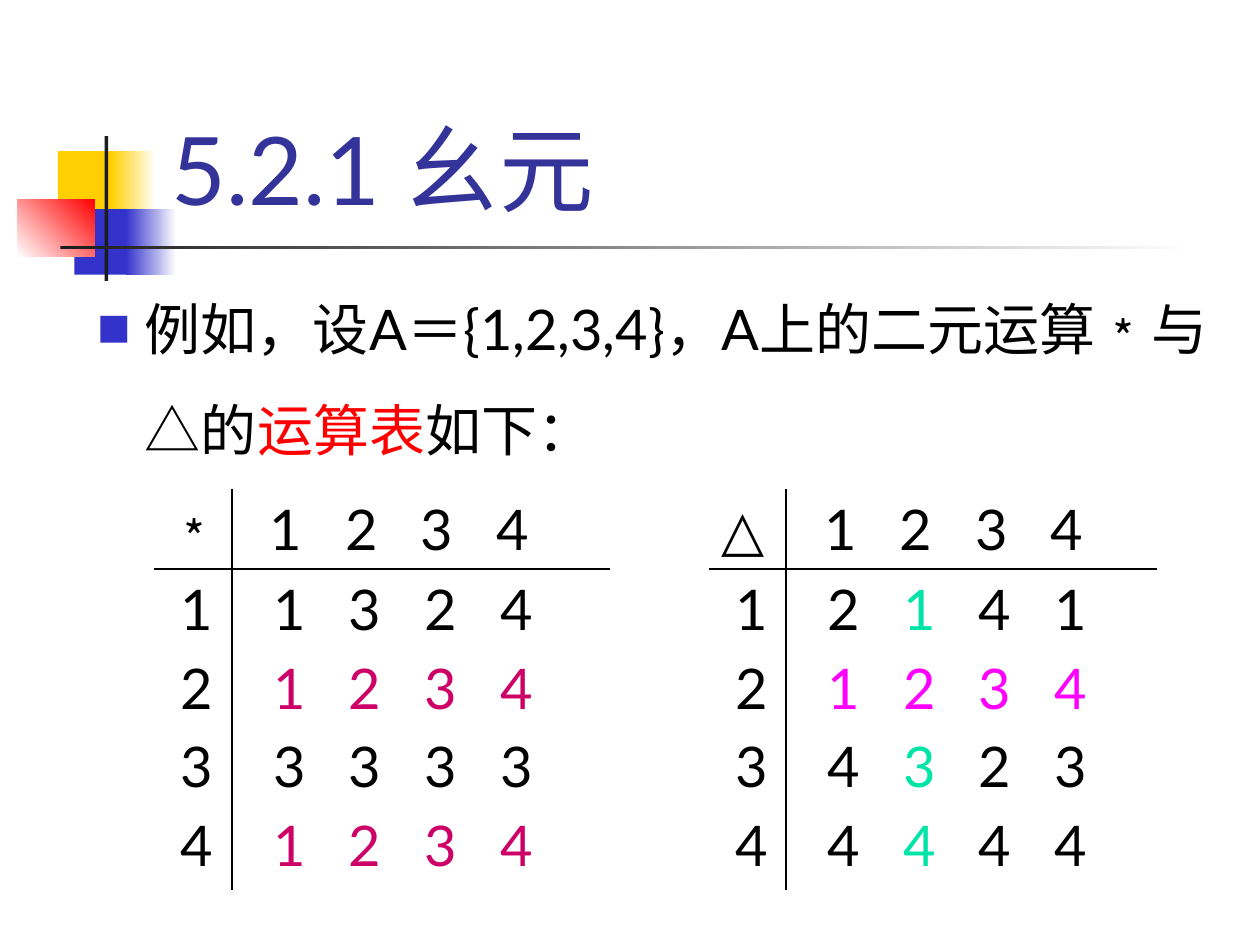
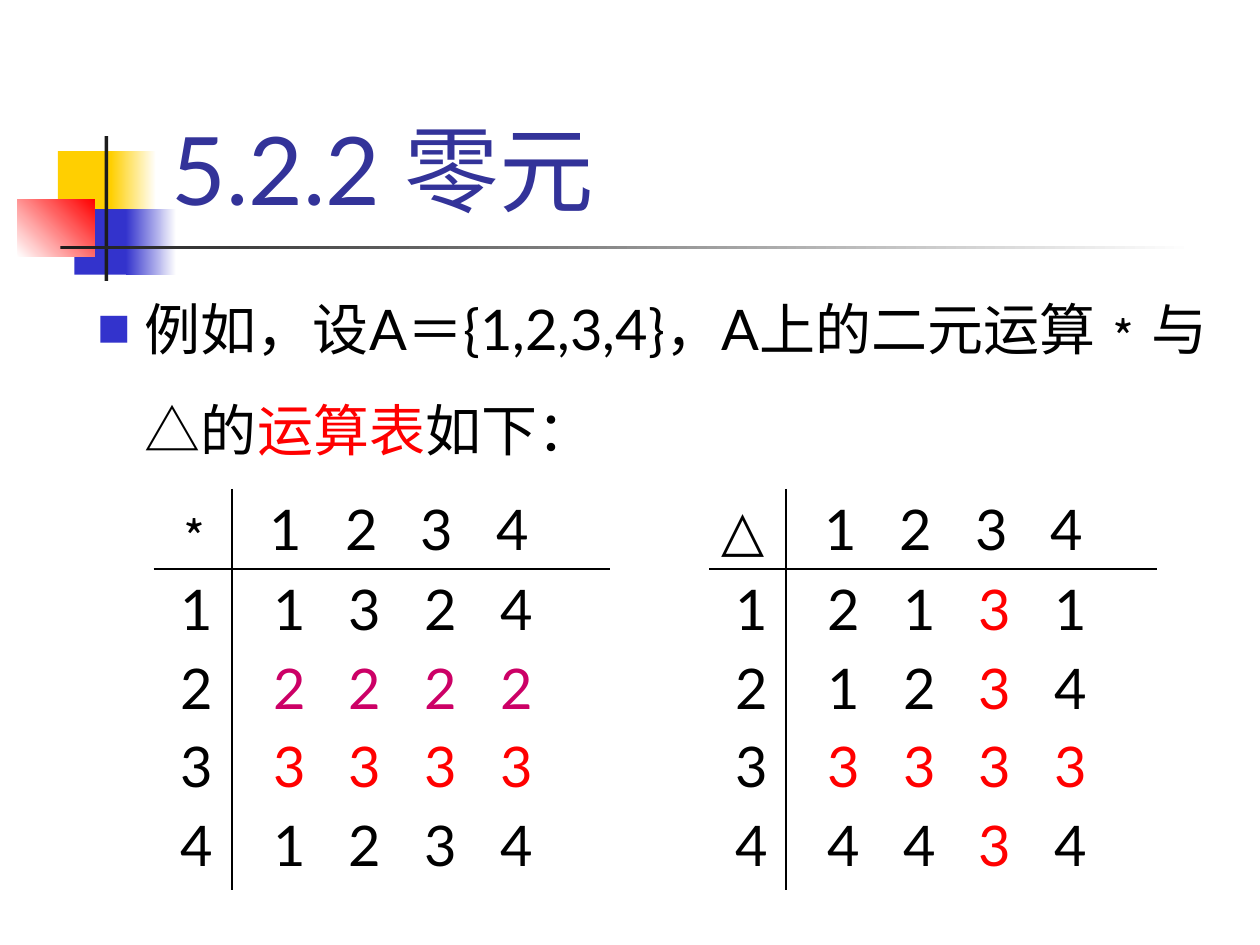
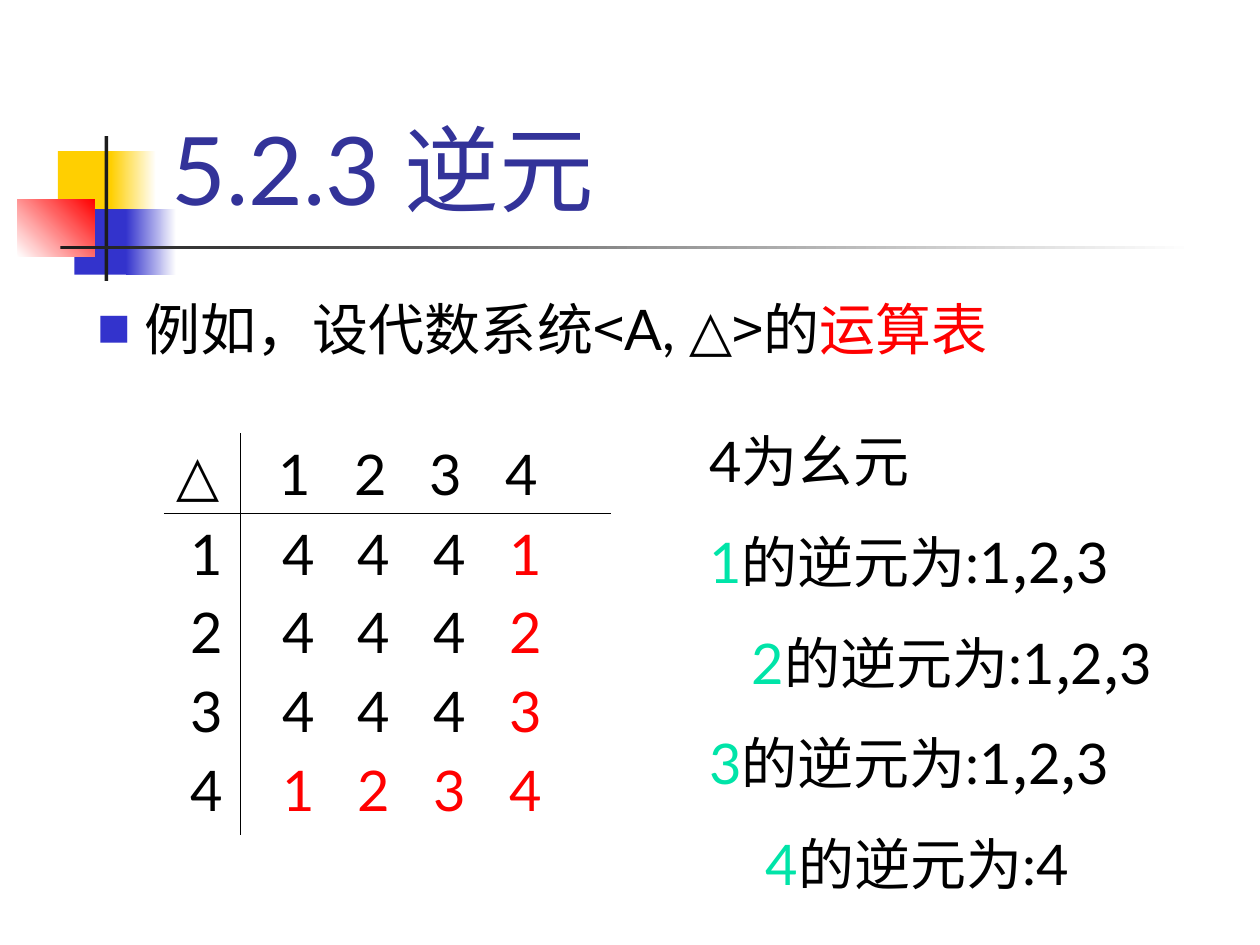
"""Build three slides on identity, zero and inverse elements."""
from itertools import groupby

from lxml.etree import SubElement
from pptx import Presentation
from pptx.dml.color import RGBColor
from pptx.enum.shapes import MSO_SHAPE
from pptx.enum.text import MSO_ANCHOR, MSO_AUTO_SIZE, PP_ALIGN
from pptx.oxml.ns import qn
from pptx.util import Inches, Pt

COLORS = {
    "black": "000000", "white": "FFFFFF", "ink": "1C1C1C", "title": "333399",
    "blue": "3333CC", "yellow": "FFCF01", "red": "FF0000", "berry": "CC0066",
    "mint": "00E4A8", "pink": "FF00FF",
}
MARKS = {".": "black", "r": "red", "b": "berry", "m": "mint", "p": "pink"}
FONT, CJK_FONT = "Lato", "Noto Sans CJK SC"
PLAIN_TABLE = "{2D5ABB26-0587-4C30-8999-92F81FD0307C}"
COLUMN_STEP = 0.6

ORNAMENTS = [
    ((0.46, 1.2, 0.48, 0.52), ["yellow"], 0),
    ((0.88, 1.2, 0.36, 0.52), ["yellow", "white"], 0),
    ((0.59, 1.66, 0.46, 0.52), ["blue"], 0),
    ((1, 1.66, 0.4, 0.52), ["blue", "white"], 0),
    ((0.14, 1.58, 0.61, 0.46), ["white", "red"], 45),
    ((0.83, 1.08, 0.03, 1.15), ["ink"], 0),
    ((0.48, 1.95, 9, 0.03), ["ink", "white"], 0),
]
EXAMPLE = [("例如，设A＝{1,2,3,4}，A上的二元运算﹡与△的",), ("运算表", "red"), ("如下：",)]
SYSTEM = [("例如，设代数系统",), ("<", "black", CJK_FONT), ("A, △",),
          (">", "black", CJK_FONT), ("的",), ("运算表", "red")]
STAR_WIDTHS, TRIANGLE_WIDTHS = (0.62, 3), (0.61, 2.94)


def rgb(name):
    """Return the named colour."""
    return RGBColor.from_string(COLORS[name])


def place(shape, left, top, width, height):
    """Move and size a shape, in inches."""
    shape.left, shape.top = Inches(left), Inches(top)
    shape.width, shape.height = Inches(width), Inches(height)


def add_span(para, text, color="black", font=FONT, size=32):
    """Add one formatted run to a paragraph."""
    span = para.add_run()
    span.text = text
    span.font.size = Pt(size)
    span.font.name = font
    span.font.color.rgb = rgb(color)
    SubElement(span._r.get_or_add_rPr(), qn("a:ea"), typeface=CJK_FONT)


def next_paragraph(frame, index):
    """Return the first paragraph of a frame, or a new one."""
    return frame.add_paragraph() if index else frame.paragraphs[0]


def set_indent(para, left, first=0):
    """Set the left and first-line indents in inches."""
    properties = para._p.get_or_add_pPr()
    properties.set("marL", str(Inches(left)))
    properties.set("indent", str(Inches(first)))
    return properties


def add_ornaments(layout, page):
    """Draw the corner blocks and rules, and move them to the layout."""
    for index, (bounds, colors, angle) in enumerate(ORNAMENTS):
        block = page.shapes.add_shape(MSO_SHAPE.RECTANGLE, *map(Inches, bounds))
        block.shadow.inherit = False
        block.line.fill.background()
        if len(colors) == 1:
            block.fill.solid()
            block.fill.fore_color.rgb = rgb(colors[0])
        else:
            block.fill.gradient()
            block.fill.gradient_angle = angle
            for stop, color in zip(block.fill.gradient_stops, colors):
                stop.color.rgb = rgb(color)
        layout.shapes.element.insert(2 + index, block.element)


def fill_title(page, text):
    """Write the slide title."""
    title = page.shapes.title
    place(title, 1.26, 0.23, 8.52, 1.6)
    frame = title.text_frame
    frame.auto_size = MSO_AUTO_SIZE.NONE
    frame.vertical_anchor = MSO_ANCHOR.BOTTOM
    para = frame.paragraphs[0]
    para.alignment = PP_ALIGN.LEFT
    add_span(para, text, "title", size=54)


def fill_body(page, spans):
    """Write the single bulleted statement."""
    body = page.placeholders[1]
    place(body, 0.67, 2.02, 9.33, 5.48)
    frame = body.text_frame
    frame.auto_size = MSO_AUTO_SIZE.NONE
    para = frame.paragraphs[0]
    properties = set_indent(para, 0.38, -0.38)
    bullet_color = SubElement(properties, qn("a:buClr"))
    SubElement(bullet_color, qn("a:srgbClr"), val=COLORS["blue"])
    SubElement(properties, qn("a:buSzPct"), val="60000")
    SubElement(properties, qn("a:buFont"), typeface=CJK_FONT)
    SubElement(properties, qn("a:buChar"), char="■")
    para.line_spacing = 1.5
    para.space_before = Pt(0)
    for span in spans:
        add_span(para, *span)


def style_cell(cell, row, column):
    """Clear a cell's fill and draw its two inner borders."""
    properties = cell._tc.get_or_add_tcPr()
    for side in ("a:lnL" if column else "a:lnR", "a:lnT" if row else "a:lnB"):
        border = SubElement(properties, qn(side), w=str(Pt(1)))
        fill = SubElement(border, qn("a:solidFill"))
        SubElement(fill, qn("a:srgbClr"), val=COLORS["black"])
    cell.fill.background()


def fill_digits(cell, lines, start):
    """Write lines of (digits, marks) on evenly spaced tab stops."""
    for index, (digits, marks) in enumerate(lines):
        para = next_paragraph(cell.text_frame, index)
        stops = SubElement(para._p.get_or_add_pPr(), qn("a:tabLst"))
        for column in range(len(digits)):
            position = Inches(start + column * COLUMN_STEP)
            SubElement(stops, qn("a:tab"), pos=str(position), algn="l")
        if index:
            para.space_before = Pt(6.4)
        for mark, pairs in groupby(zip(digits, marks), key=lambda pair: pair[1]):
            add_span(para, "".join("\t" + digit for digit, _ in pairs), MARKS[mark])


def add_operation_table(page, left, top, widths, symbol, results):
    """Add the operation table of a symbol on {1,2,3,4}."""
    frame = page.shapes.add_table(2, 2, Inches(left), Inches(top),
                                  Inches(sum(widths)), Inches(3.18))
    table = frame.table
    table.first_row = table.horz_banding = False
    table._tbl.tblPr.find(qn("a:tableStyleId")).text = PLAIN_TABLE
    for column, width in zip(table.columns, widths):
        column.width = Inches(width)
    for row, height in zip(table.rows, (0.63, 2.55)):
        row.height = Inches(height)
    for row in range(2):
        for column in range(2):
            style_cell(table.cell(row, column), row, column)
    add_span(table.cell(0, 0).text_frame.paragraphs[0], symbol)
    fill_digits(table.cell(0, 1), [("1234", "....")], 0.2)
    fill_digits(table.cell(1, 0), [(digit, ".") for digit in "1234"], 0.11)
    fill_digits(table.cell(1, 1), results, 0.23)


def add_inverses(page, inverses):
    """List the identity and each element's inverses."""
    box = page.shapes.add_textbox(*map(Inches, (5.53, 3.07, 4.27, 4.14)))
    frame = box.text_frame
    frame.word_wrap = True
    frame.auto_size = MSO_AUTO_SIZE.SHAPE_TO_FIT_TEXT
    add_span(frame.paragraphs[0], "4为幺元")
    for index, (element, values, indent) in enumerate(inverses, 1):
        para = next_paragraph(frame, index)
        set_indent(para, indent)
        add_span(para, element, "mint")
        add_span(para, "的逆元为:" + values[0])
        for value in values[1:]:
            add_span(para, ",", font=CJK_FONT)
            add_span(para, value)
    for para in frame.paragraphs:
        para.line_spacing = 1.5


def add_page(deck, title, statement):
    """Add a slide with its title and statement."""
    page = deck.slides.add_slide(deck.slide_layouts[1])
    fill_title(page, title)
    fill_body(page, statement)
    return page


def add_pair(page, star, triangle):
    """Add the star and triangle tables side by side."""
    add_operation_table(page, 1.22, 3.88, STAR_WIDTHS, "﹡", star)
    add_operation_table(page, 5.63, 3.88, TRIANGLE_WIDTHS, "△", triangle)


def main():
    """Build and save the deck."""
    deck = Presentation()
    deck.slide_width, deck.slide_height = Inches(10), Inches(7.5)

    identity = add_page(deck, "5.2.1 幺元", EXAMPLE)
    add_ornaments(deck.slide_layouts[1], identity)
    add_pair(identity,
             [("1324", "...."), ("1234", "bbbb"), ("3333", "...."), ("1234", "bbbb")],
             [("2141", ".m.."), ("1234", "pppp"), ("4323", ".m.."), ("4444", ".m..")])

    zero = add_page(deck, "5.2.2 零元", EXAMPLE)
    add_pair(zero,
             [("1324", "...."), ("2222", "bbbb"), ("3333", "rrrr"), ("1234", "....")],
             [("2131", "..r."), ("1234", "..r."), ("3333", "rrrr"), ("4434", "..r.")])

    inverse = add_page(deck, "5.2.3 逆元", SYSTEM)
    add_operation_table(inverse, 1.3, 3.44, TRIANGLE_WIDTHS, "△",
                        [("4441", "...r"), ("4442", "...r"),
                         ("4443", "...r"), ("1234", "rrrr")])
    add_inverses(inverse, [("1", "123", 0), ("2", "123", 0.34),
                           ("3", "123", 0), ("4", "4", 0.45)])
    deck.save("out.pptx")


if __name__ == "__main__":
    main()
